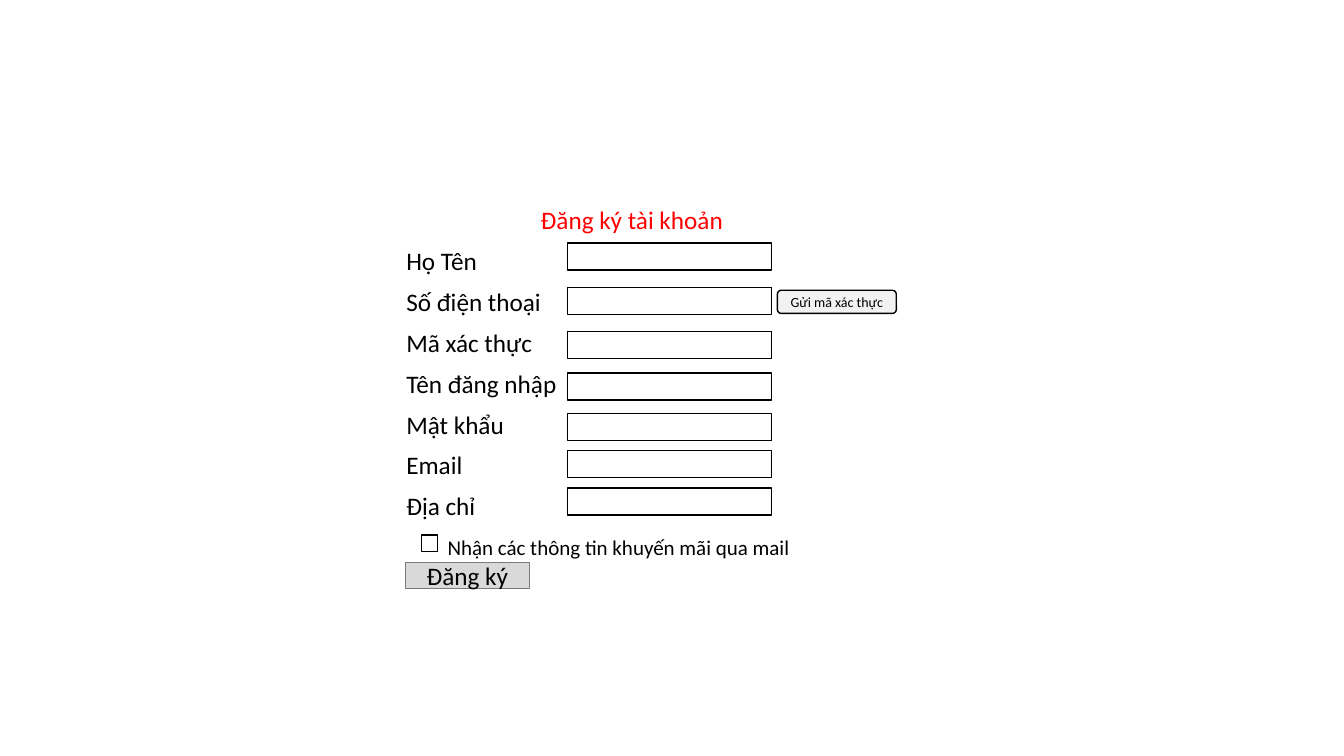
from pptx import Presentation
from pptx.dml.color import RGBColor
from pptx.enum.shapes import MSO_SHAPE
from pptx.enum.text import MSO_ANCHOR, PP_ALIGN
from pptx.oxml.ns import qn
from pptx.util import Inches, Pt

RECT, ROUND = MSO_SHAPE.RECTANGLE, MSO_SHAPE.ROUNDED_RECTANGLE
CENTER, LEFT = PP_ALIGN.CENTER, PP_ALIGN.LEFT
MIDDLE = MSO_ANCHOR.MIDDLE
NO_STYLE = "{2D5ABB26-0587-4C30-8999-92F81FD0307C}"
COLORS = {"title": "FF0000", "ink": "000000", "send": "F2F2F2",
          "submit": "D9D9D9", "submit_line": "7A7A7A"}


def write(tf, text, size, color="ink", align=CENTER):
    p = tf.paragraphs[0]
    p.alignment = align
    r = p.add_run()
    r.text = text
    for name, value in {"name": "Calibri", "size": Pt(size)}.items():
        setattr(r.font, name, value)
    r.font.color.rgb = RGBColor.from_string(COLORS[color])


def add_box(kind, left, top, width, height, fill=None, line="ink"):
    sp = s.shapes.add_shape(kind, *map(Inches, (left, top, width, height)))
    sp.shadow.inherit = False
    if fill:
        sp.fill.solid()
        sp.fill.fore_color.rgb = RGBColor.from_string(COLORS[fill])
    else:
        sp.fill.background()
    sp.line.color.rgb = RGBColor.from_string(COLORS[line])
    sp.line.width = Pt(1)
    return sp


prs = Presentation()
prs.slide_width, prs.slide_height = Inches(13.33), Inches(7.5)
s = prs.slides.add_slide(prs.slide_layouts[6])

labels = ["Họ Tên", "Số điện thoại", "Mã xác thực", "Tên đăng nhập",
          "Mật khẩu", "Email", "Địa chỉ"]
col_widths = [1.9, 2.51, 0.32]
row_count = len(labels) + 3
row_height = 0.4

frame = s.shapes.add_table(row_count, len(col_widths), Inches(3.93), Inches(1.99),
                           Inches(sum(col_widths)), Inches(row_count * row_height))
table = frame.table
table.first_row = table.horz_banding = False
table._tbl.tblPr.find(qn("a:tableStyleId")).text = NO_STYLE
for col, width in zip(table.columns, col_widths):
    col.width = Inches(width)
for cell in table.iter_cells():
    cell.fill.background()
    cell.vertical_anchor = MIDDLE

for row, last_col in [(0, 2), (row_count - 2, 1), (row_count - 1, 2)]:
    table.cell(row, 0).merge(table.cell(row, last_col))

write(table.cell(0, 0).text_frame, "Đăng ký tài khoản ", 18, "title")
for row, label in enumerate(labels, 1):
    write(table.cell(row, 0).text_frame, label, 18, align=LEFT)
write(table.cell(row_count - 2, 0).text_frame,
      "Nhận các thông tin khuyến mãi qua mail", 15)

for top in [2.41, 2.85, 3.29, 3.7, 4.1, 4.47, 4.84]:
    add_box(RECT, 5.63, top, 2.02, 0.27)
add_box(RECT, 4.18, 5.31, 0.16, 0.16)

buttons = [
    (ROUND, 7.71, 2.88, 1.18, 0.23, "send", "ink", "Gửi mã xác thực", 10),
    (RECT, 4.02, 5.58, 1.23, 0.26, "submit", "submit_line", "Đăng ký", 18),
]
for *box, text, size in buttons:
    tf = add_box(*box).text_frame
    for name, value in {"margin_left": 0, "margin_right": 0, "word_wrap": True,
                        "vertical_anchor": MIDDLE}.items():
        setattr(tf, name, value)
    write(tf, text, size)

prs.save("out.pptx")
